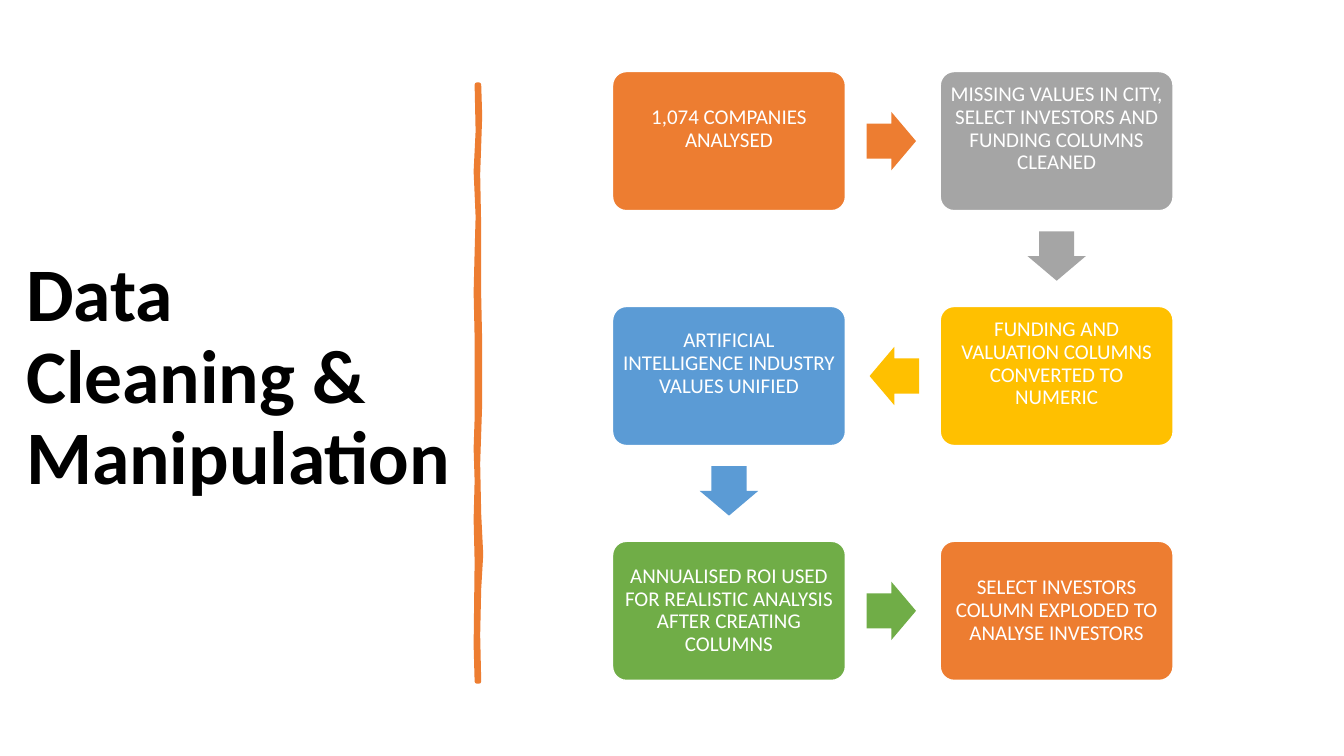
from pptx import Presentation
from pptx.dml.color import RGBColor
from pptx.enum.shapes import MSO_SHAPE
from pptx.enum.text import MSO_ANCHOR, PP_ALIGN
from pptx.util import Inches, Pt

BOX = MSO_SHAPE.ROUNDED_RECTANGLE
ARROW = MSO_SHAPE.RIGHT_ARROW
MIDDLE = MSO_ANCHOR.MIDDLE
LEFT, CENTER = PP_ALIGN.LEFT, PP_ALIGN.CENTER
HUES = {
    "orange": "ED7D31", "gray": "A5A5A5", "gold": "FFC000",
    "blue": "5B9BD5", "green": "70AD47", "white": "FFFFFF", "black": "000000",
}


def paint(shape, fill, line=None, width=1):
    shape.shadow.inherit = False
    shape.fill.solid()
    shape.fill.fore_color.rgb = RGBColor.from_string(HUES[fill])
    if line:
        shape.line.color.rgb = RGBColor.from_string(HUES[line])
        shape.line.width = Pt(width)
    else:
        shape.line.fill.background()


def write(shape, text, hue, align, font, frame):
    body = shape.text_frame
    for key, value in frame.items():
        setattr(body, key, value)
    para = body.paragraphs[0]
    para.alignment = align
    para.line_spacing = 0.9
    run = para.add_run()
    run.text = text
    for key, value in font.items():
        setattr(run.font, key, value)
    run.font.color.rgb = RGBColor.from_string(HUES[hue])


deck = Presentation()
deck.slide_width, deck.slide_height = Inches(13.33), Inches(7.5)
slide = deck.slides.add_slide(deck.slide_layouts[6])
shapes = slide.shapes

# Title
title = shapes.add_textbox(Inches(0.16), Inches(0.7), Inches(4.45), Inches(6.11))
write(title, "Data Cleaning & Manipulation", "black", LEFT,
      {"name": "Calibri", "size": Pt(54), "bold": True},
      {"word_wrap": True, "vertical_anchor": MIDDLE})

# Hand-drawn divider: right edge downwards, then left edge upwards
right = [(4.75, 0.84), (4.76, 1.15), (4.74, 1.73), (4.75, 2.26), (4.75, 2.94),
         (4.76, 3.4), (4.76, 4.0), (4.74, 4.6), (4.75, 5.1), (4.77, 5.5),
         (4.75, 5.84), (4.74, 6.3), (4.75, 6.76)]
left = [(4.73, 6.76), (4.72, 6.4), (4.73, 5.57), (4.72, 5.15), (4.73, 4.77),
        (4.72, 4.45), (4.73, 4.15), (4.73, 3.35), (4.72, 2.9), (4.73, 2.5),
        (4.74, 2.15), (4.72, 1.7), (4.74, 1.3), (4.73, 0.84)]
edge = [(Inches(x), Inches(y)) for x, y in right + left]
pen = shapes.build_freeform(*edge[0])
pen.add_line_segments(edge[1:], close=True)
paint(pen.convert_to_shape(), "orange", "orange", 3.25)

# Process steps: column, row, colour, arrow turn, bottom inset, text
steps = [
    (0, 0, "orange", 0, 0.3, "1,074 COMPANIES ANALYSED"),
    (1, 0, "gray", 90, 0.3,
     "MISSING VALUES IN CITY, SELECT INVESTORS AND FUNDING COLUMNS CLEANED"),
    (1, 1, "gold", 180, 0.3, "FUNDING AND VALUATION COLUMNS CONVERTED TO NUMERIC"),
    (0, 1, "blue", 90, 0.3, "ARTIFICIAL INTELLIGENCE INDUSTRY VALUES UNIFIED"),
    (0, 2, "green", 0, 0.06,
     "ANNUALISED ROI USED FOR REALISTIC ANALYSIS AFTER CREATING COLUMNS"),
    (1, 2, "orange", None, 0.06,
     "SELECT INVESTORS COLUMN EXPLODED TO ANALYSE INVESTORS"),
]
wide, high = 2.31, 1.38
long, thick = 0.49, 0.58
reach = {0: (1.61, 0), 90: (0, 1.14), 180: (-1.61, 0)}
label = {"name": "Calibri", "size": Pt(15)}
inset = Inches(0.06)

for col, row, hue, turn, foot, text in steps:
    # Box, placed by its centre
    mid_x, mid_y = 7.23 + 3.25 * col, 1.4 + 2.33 * row
    box = shapes.add_shape(BOX, Inches(mid_x - wide / 2), Inches(mid_y - high / 2),
                           Inches(wide), Inches(high))
    box.adjustments[0] = 0.1
    paint(box, hue, "white")
    write(box, text, "white", CENTER, label, {
        "word_wrap": True, "vertical_anchor": MIDDLE, "margin_left": inset,
        "margin_right": inset, "margin_top": inset, "margin_bottom": Inches(foot)})

    # Arrow to the next step
    if turn is not None:
        dx, dy = reach[turn]
        arrow = shapes.add_shape(ARROW, Inches(mid_x + dx - long / 2),
                                 Inches(mid_y + dy - thick / 2),
                                 Inches(long), Inches(thick))
        arrow.rotation = turn
        arrow.adjustments[0] = 0.6
        arrow.adjustments[1] = 0.5
        paint(arrow, hue)

deck.save("out.pptx")
